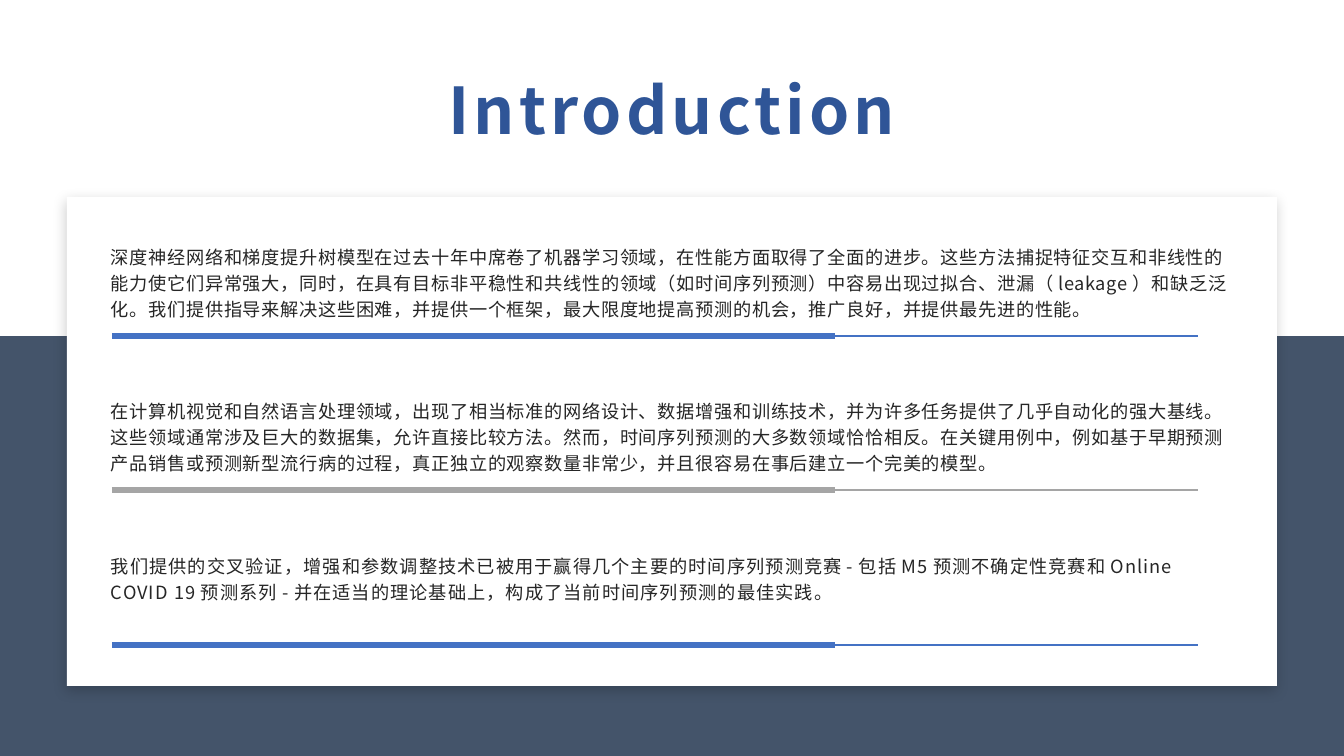
import pptx
import pptx.dml.color
import pptx.enum.shapes
import pptx.enum.text
import pptx.oxml
import pptx.oxml.ns
import pptx.util
from lxml import etree

FONT = "Noto Sans CJK SC"
NAVY, WHITE, TITLE_BLUE, INK = "44546A", "FFFFFF", "2F5597", "262626"
BLUE, GRAY = "4472C4", "A5A5A5"

TITLE = "Introduction"
# top in px, rule colour, letter spacing in pt, text
SECTIONS = [
    (237, BLUE, 0.5,
     "深度神经网络和梯度提升树模型在过去十年中席卷了机器学习领域，在性能方面取得了全面的进步。"
     "这些方法捕捉特征交互和非线性的能力使它们异常强大，同时，在具有目标非平稳性和共线性的领域"
     "（如时间序列预测）中容易出现过拟合、泄漏（leakage）和缺乏泛化。"
     "我们提供指导来解决这些困难，并提供一个框架，最大限度地提高预测的机会，推广良好，并提供最先进的性能。"),
    (391, GRAY, 0.5,
     "在计算机视觉和自然语言处理领域，出现了相当标准的网络设计、数据增强和训练技术，"
     "并为许多任务提供了几乎自动化的强大基线。这些领域通常涉及巨大的数据集，允许直接比较方法。"
     "然而，时间序列预测的大多数领域恰恰相反。在关键用例中，例如基于早期预测产品销售或预测新型流行病的过程，"
     "真正独立的观察数量非常少，并且很容易在事后建立一个完美的模型。"),
    (546, BLUE, 0.8,
     "我们提供的交叉验证，增强和参数调整技术已被用于赢得几个主要的时间序列预测竞赛-"
     "包括M5预测不确定性竞赛和Online COVID 19预测系列-"
     "并在适当的理论基础上，构成了当前时间序列预测的最佳实践。"),
]

SLIDE_W, SLIDE_H = 1344, 756
CARD_X, CARD_W = 67, 1210
TEXT_X, TEXT_W, TEXT_H = 101, 1142, 102
RULE_DROP = 99
RULES = [(112, 835, 4), (828, 1198, 1)]  # from x, to x, width in pt
EMU_PER_PX = 12192000 / SLIDE_W


def px(n):
    return pptx.util.Emu(round(n * EMU_PER_PX))


def rgb(color):
    return pptx.dml.color.RGBColor.from_string(color)


def add_rect(slide, x, y, w, h, color):
    s = slide.shapes.add_shape(pptx.enum.shapes.MSO_SHAPE.RECTANGLE,
                               px(x), px(y), px(w), px(h))
    s.fill.solid()
    s.fill.fore_color.rgb = rgb(color)
    s.line.fill.background()
    s.shadow.inherit = False
    return s


def add_soft_shadow(s):
    effects = s._element.spPr.find(pptx.oxml.ns.qn("a:effectLst"))
    effects.append(pptx.oxml.parse_xml(
        f'<a:outerShdw {pptx.oxml.ns.nsdecls("a")} blurRad="127000" dist="38100" '
        'dir="5400000" algn="t" rotWithShape="0"><a:srgbClr val="000000">'
        '<a:alpha val="20000"/></a:srgbClr></a:outerShdw>'))


def add_text(slide, x, y, w, h, text, size, color, spacing):
    s = slide.shapes.add_textbox(px(x), px(y), px(w), px(h))
    tf = s.text_frame
    tf.word_wrap = True
    p = tf.paragraphs[0]
    p.text = text
    p.font.size = pptx.util.Pt(size)
    p.font.color.rgb = rgb(color)
    p.font.name = FONT
    props = p.font._element
    props.set("spc", str(round(spacing * 100)))
    etree.SubElement(props, pptx.oxml.ns.qn("a:ea")).set("typeface", FONT)
    return tf


def add_rule(slide, x1, x2, y, color, width):
    s = slide.shapes.add_connector(pptx.enum.shapes.MSO_CONNECTOR.STRAIGHT,
                                   px(x1), px(y), px(x2), px(y))
    s.line.color.rgb = rgb(color)
    s.line.width = pptx.util.Pt(width)
    etree.SubElement(s._element.spPr, pptx.oxml.ns.qn("a:effectLst"))


def main():
    prs = pptx.Presentation()
    prs.slide_width, prs.slide_height = px(SLIDE_W), px(SLIDE_H)
    slide = prs.slides.add_slide(prs.slide_layouts[6])

    add_rect(slide, 0, 336, SLIDE_W, SLIDE_H - 336, NAVY)
    add_soft_shadow(add_rect(slide, CARD_X, 197, CARD_W, 489, WHITE))

    tf = add_text(slide, CARD_X, 67, CARD_W, 84, TITLE, 46, TITLE_BLUE, 3)
    tf.margin_left = tf.margin_right = px(7)
    tf.margin_top = tf.margin_bottom = px(3)
    tf.paragraphs[0].alignment = pptx.enum.text.PP_ALIGN.CENTER
    tf.paragraphs[0].font.bold = True

    for top, color, spacing, text in SECTIONS:
        tf = add_text(slide, TEXT_X, top, TEXT_W, TEXT_H, text, 13, INK, spacing)
        tf.paragraphs[0].line_spacing = 1.2
        tf.paragraphs[0].space_after = pptx.util.Pt(8)
        for x1, x2, width in RULES:
            add_rule(slide, x1, x2, top + RULE_DROP, color, width)

    prs.save("out.pptx")


if __name__ == "__main__":
    main()
